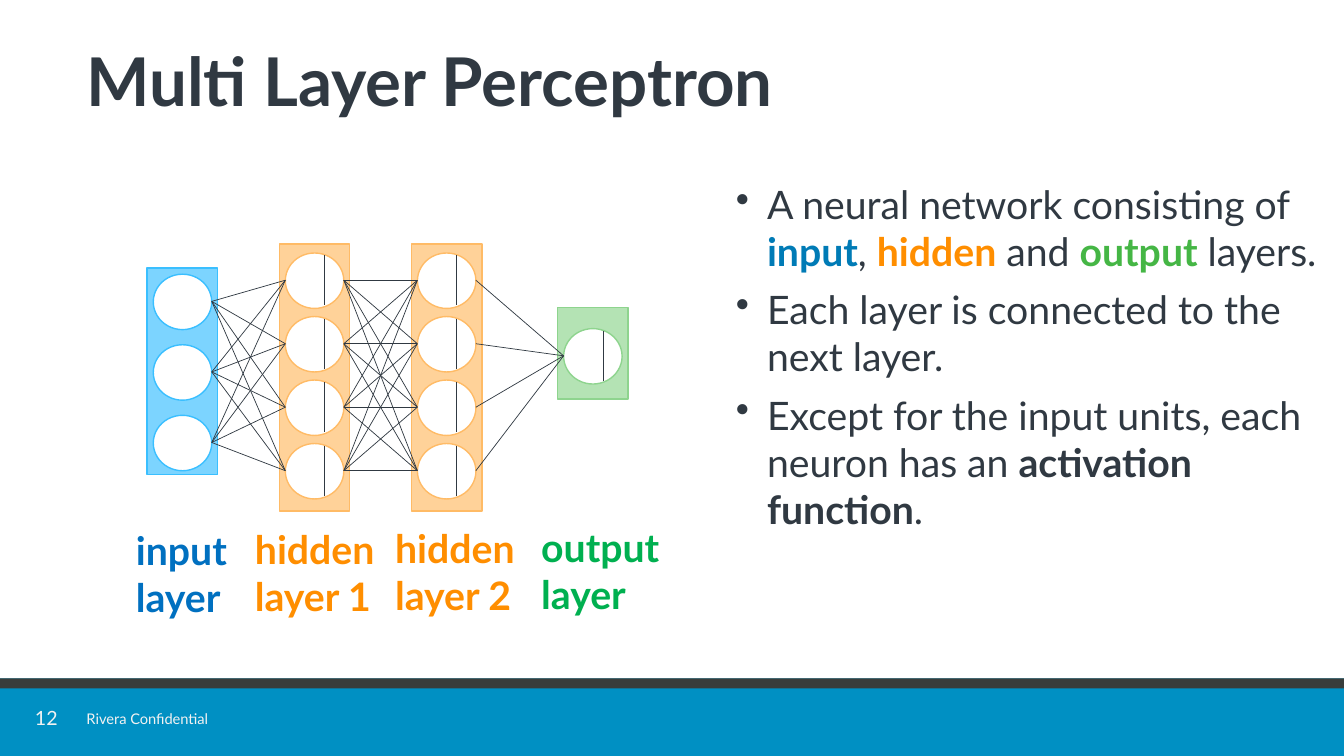
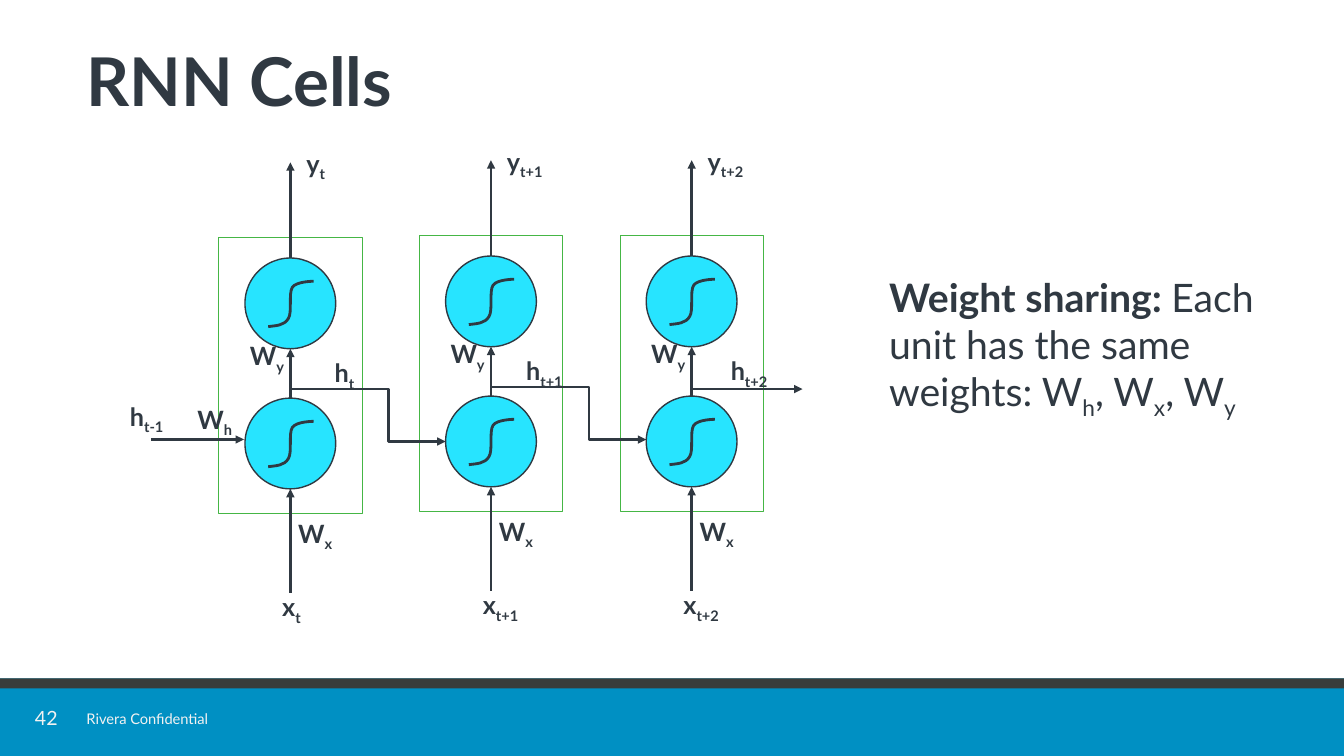
from itertools import product

from lxml.etree import SubElement
from pptx import Presentation
from pptx.dml.color import RGBColor
from pptx.enum.shapes import MSO_CONNECTOR as LINK, MSO_SHAPE as SHAPE
from pptx.enum.text import MSO_ANCHOR as ANCHOR, PP_ALIGN as ALIGN
from pptx.oxml.ns import qn
from pptx.util import Inches, Pt

COLOURS = {
    "ink": "303942", "band": "0090C3", "strip": "383D3B", "footer": "F2F2F2",
    "white": "FFFFFF", "cell": "27E4FF", "frame": "45B645",
    "input fill": "7CD4FF", "input line": "3ABFFF",
    "hidden fill": "FFD299", "hidden line": "FFBB66",
    "output fill": "B4E3B4", "output line": "8ED48E",
    "input word": "007BB6", "hidden word": "FF8E00", "output word": "45B645",
    "input label": "0070C0", "hidden label": "FF8E00", "output label": "00B050",
}
FONT = "Lato"


def draw(page, kind, area, fill=None, line=None, width=1):
    shape = page.shapes.add_shape(kind, *map(Inches, area))
    shape.shadow.inherit = False
    if fill:
        shape.fill.solid()
        shape.fill.fore_color.rgb = RGBColor.from_string(COLOURS[fill])
    else:
        shape.fill.background()
    if line:
        shape.line.color.rgb = RGBColor.from_string(COLOURS[line])
        shape.line.width = Pt(width)
    else:
        shape.line.fill.background()


def write(page, area, paragraphs, size, colour="ink", bullet=False):
    frame = page.shapes.add_textbox(*map(Inches, area)).text_frame
    frame.word_wrap = True
    for index, runs in enumerate(paragraphs):
        para = frame.add_paragraph() if index else frame.paragraphs[0]
        if bullet:
            props = para._p.get_or_add_pPr()
            props.set("marL", str(Inches(0.31)))
            props.set("indent", str(-Inches(0.31)))
            SubElement(props, qn("a:buChar")).set("char", "•")
        if index:
            para.space_before = Pt(8)
        for text, style, *own_colour in runs:
            span = para.add_run()
            span.text = text
            span.font.name = FONT
            span.font.size = Pt(size)
            span.font.bold = "bold" in style
            name = own_colour[0] if own_colour else colour
            span.font.color.rgb = RGBColor.from_string(COLOURS[name])
            if "sub" in style:
                span._r.get_or_add_rPr().set("baseline", "-25000")
    return frame


deck = Presentation()
deck.slide_width, deck.slide_height = Inches(13.33), Inches(7.5)

pages = []
for number, title in [("12", "Multi Layer Perceptron"), ("42", "RNN Cells")]:
    page = deck.slides.add_slide(deck.slide_layouts[6])
    draw(page, SHAPE.RECTANGLE, (0, 6.73, 13.33, 0.77), "band")
    draw(page, SHAPE.RECTANGLE, (0, 6.73, 13.33, 0.1), "strip")
    counter = write(page, (0.33, 7.02, 0.26, 0.23), [[(number, "")]], 14, "footer")
    counter.margin_left = counter.margin_right = 0
    counter.margin_top = counter.margin_bottom = 0
    counter.vertical_anchor = ANCHOR.MIDDLE
    counter.paragraphs[0].alignment = ALIGN.CENTER
    counter.paragraphs[0].line_spacing = 0.9
    write(page, (0.76, 6.99, 1.8, 0.28), [[("Rivera Confidential", "")]], 10.5, "footer")
    heading = write(page, (0.76, 0.32, 11.91, 1.08), [[(title, "bold")]], 48)
    heading.vertical_anchor = ANCHOR.MIDDLE
    heading.paragraphs[0].line_spacing = 0.8
    pages.append(page)
network, cells = pages
links = []

write(network, (7.2, 1.74, 6.13, 4.58), [
    [("A neural network consisting of ", ""), ("input", "bold", "input word"),
     (", ", ""), ("hidden", "bold", "hidden word"), (" and ", ""),
     ("output", "bold", "output word"), (" layers.", "")],
    [("Each layer is connected to the next layer.", "")],
    [("Except for the input units, each neuron has an ", ""),
     ("activation function", "bold"), (".", "")],
], 28, bullet=True)

layers = [
    ("input", 1.46, 2.66, 2.05, 2.72, 0.7, 3),
    ("hidden", 2.77, 2.42, 2.65, 2.51, 0.63, 4),
    ("hidden", 4.08, 2.42, 2.65, 2.51, 0.63, 4),
    ("output", 5.53, 3.05, 0.91, 3.26, 0, 1),
]
previous = []
for kind, left, top, height, first, pitch, count in layers:
    draw(network, SHAPE.RECTANGLE, (left, top, 0.7, height), f"{kind} fill", f"{kind} line")
    neuron_left = left + 0.06
    middles = []
    for index in range(count):
        neuron_top = first + pitch * index
        draw(network, SHAPE.OVAL, (neuron_left, neuron_top, 0.58, 0.55), "white", f"{kind} line")
        middles.append(neuron_top + 0.27)
        if kind != "input":
            tick = neuron_left + 0.39
            links.append((network, LINK.STRAIGHT, (tick, neuron_top + 0.02),
                          (tick, neuron_top + 0.52), 0.5))
    for start, end in product(previous, middles):
        links.append((network, LINK.STRAIGHT, start, (neuron_left, end), 0.5))
    previous = [(neuron_left + 0.58, middle) for middle in middles]

for text, kind, left, top, width in [
    ("input layer", "input", 1.25, 5.17, 1.29),
    ("hidden layer 1", "hidden", 2.43, 5.16, 1.41),
    ("hidden layer 2", "hidden", 3.82, 5.15, 1.41),
    ("output layer", "output", 5.27, 5.14, 1.5),
]:
    write(network, (left, top, width, 1.04), [[(text, "bold")]], 28, f"{kind} label")

sigmoid = [(0.08, 0.44), (0.16, 0.44), (0.2, 0.37), (0.24, 0.31), (0.2, 0.12),
           (0.24, 0.06), (0.28, 0), (0.45, 0), (0.45, 0)]
labels = [("h", "t-1", 1.19, 3.93), ("W", "h", 1.86, 3.96)]
links.append((cells, LINK.STRAIGHT, (1.5, 4.36), (2.42, 4.36), 2))
for unit, (step, state_shift) in enumerate([("t", 0.34), ("t+1", 0.25), ("t+2", 0.29)]):
    centre = 2.88 + 1.99 * unit
    lift = 0.02 if unit else 0
    draw(cells, SHAPE.RECTANGLE, (centre - 0.71, 2.36 - lift, 1.42, 2.73), None, "frame", 0.5)
    for top in (3.95 - lift, 2.56 - lift):
        draw(cells, SHAPE.OVAL, (centre - 0.45, top, 0.9, 0.9), "cell", "ink")
        left, curve_top = centre - 0.22, top + 0.23
        builder = cells.shapes.build_freeform(Inches(left), Inches(curve_top + 0.45))
        builder.add_line_segments(
            [(Inches(left + x), Inches(curve_top + y)) for x, y in sigmoid], close=False)
        curve = builder.convert_to_shape()
        curve.shadow.inherit = False
        curve.fill.background()
        curve.line.color.rgb = RGBColor.from_string(COLOURS["ink"])
        curve.line.width = Pt(2)
        outline = curve._element.find(".//" + qn("a:path"))
        corners = outline.findall(qn("a:lnTo"))
        for index in range(0, len(corners), 3):
            bend = SubElement(outline, qn("a:cubicBezTo"))
            for corner in corners[index:index + 3]:
                bend.append(corner[0])
                outline.remove(corner)
    for start, end in [(5.88, 4.85), (3.95, 3.46), (2.56, 1.61)]:
        links.append((cells, LINK.STRAIGHT, (centre, start - lift), (centre, end - lift), 2))
    if unit < 2:
        links.append((cells, LINK.ELBOW, (centre, 3.86 - lift), (centre + 1.54, 4.38 - lift), 2))
    else:
        links.append((cells, LINK.STRAIGHT, (centre, 3.86), (centre + 1.1, 3.86), 2))
    labels += [
        (letter, below, centre + shift, top - lift) for letter, below, shift, top in [
            ("x", step, -0.18, 5.82), ("y", step, 0.06, 1.42), ("h", step, state_shift, 3.5),
            ("W", "x", -0.02, 5.09), ("W", "y", -0.5, 3.33)]
    ]

for page, kind, start, end, width in links:
    link = page.shapes.add_connector(kind, *map(Inches, start + end))
    link.line.color.rgb = RGBColor.from_string(COLOURS["ink"])
    link.line.width = Pt(width)
    if page is cells:
        SubElement(link.get_or_add_ln(), qn("a:tailEnd")).set("type", "triangle")
    if kind == LINK.ELBOW:
        guide = SubElement(link._element.find(".//" + qn("a:avLst")), qn("a:gd"))
        guide.set("name", "adj1")
        guide.set("fmla", "val 63100")
    SubElement(link._element.spPr, qn("a:effectLst"))

for letter, below, left, top in labels:
    write(cells, (left, top, 0.7, 0.4), [[(letter, "bold"), (below, "bold sub")]], 18)

write(cells, (8.72, 2.66, 4, 1.51), [[
    ("Weight sharing: ", "bold"), ("Each unit has the same weights: W", ""), ("h", "sub"),
    (", W", ""), ("x", "sub"), (", W", ""), ("y", "sub"),
]], 28)

deck.save("out.pptx")
